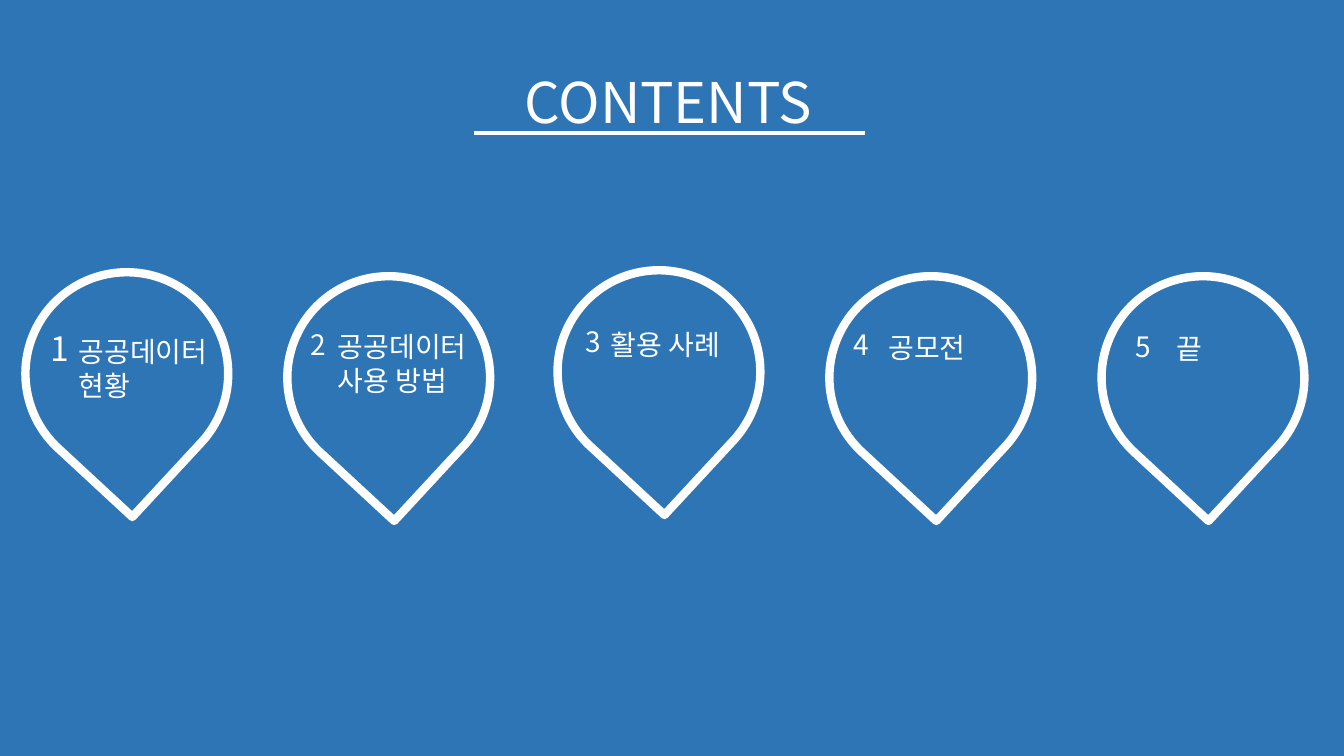
from pptx import Presentation
from pptx.dml.color import RGBColor
from pptx.enum.shapes import MSO_CONNECTOR as CONN, MSO_SHAPE as SHAPE
from pptx.enum.text import MSO_ANCHOR as ANCHOR, MSO_AUTO_SIZE as AUTO, PP_ALIGN as ALIGN
from pptx.oxml.ns import qn
from pptx.util import Cm, Pt
from lxml.etree import SubElement

BLUE = RGBColor(0x2E, 0x75, 0xB6)
WHITE = RGBColor(0xFF, 0xFF, 0xFF)
FONT = "Noto Sans CJK KR"
PIN_SIZE = 5.11
PIN_ANGLE = 132.8

PINS = [
    dict(x=0.64, y=6.86, lines=["공공데이터", "현황"], label=(1.09, 1.45, 3.78), number=(0.38, 1.27), size=24),
    dict(x=7.24, y=6.96, lines=["공공데이터", "사용 방법"], label=(1.02, 1.22, 4.19), number=(0.33, 1.17)),
    dict(x=14.05, y=6.81, lines=["활용 사례"], label=(1.09, 1.32, 3.56), number=(0.46, 1.24)),
    dict(x=20.9, y=6.96, lines=["공모전"], label=(1.24, 1.24, 3.4), number=(0.36, 1.17)),
    dict(x=27.76, y=6.96, lines=["끝"], label=(1.63, 1.27, 2.67), number=(0.61, 1.22)),
]


def write(tf, lines, size, align=ALIGN.LEFT):
    tf.word_wrap = True
    tf.vertical_anchor = ANCHOR.TOP
    for i, line in enumerate(lines):
        p = tf.add_paragraph() if i else tf.paragraphs[0]
        p.alignment = align
        r = p.add_run()
        r.text = line
        r.font.size = Pt(size)
        r.font.color.rgb = WHITE
        r.font.name = FONT
        SubElement(r.font._element, qn("a:ea"), typeface=FONT)


def add_text(shapes, x, y, w, h, lines, size):
    s = shapes.add_textbox(Cm(x), Cm(y), Cm(w), Cm(h))
    write(s.text_frame, lines, size)


def add_heading(slide, x, y, w, h):
    s = slide.shapes.title
    s.left, s.top, s.width, s.height = Cm(x), Cm(y), Cm(w), Cm(h)
    s.text_frame.auto_size = AUTO.NONE
    write(s.text_frame, ["CONTENTS"], 40, ALIGN.CENTER)
    line_y = Cm(y + 1.78)
    rule = slide.shapes.add_connector(CONN.STRAIGHT, Cm(x - 0.25), line_y, Cm(x + w + 0.3), line_y)
    rule.line.color.rgb = WHITE
    rule.line.width = Pt(3)
    SubElement(rule._element.spPr, qn("a:effectLst"))


def add_pin(slide, index, x, y, lines, label, number, size=20):
    shapes = slide.shapes.add_group_shape().shapes
    s = shapes.add_shape(SHAPE.TEAR, Cm(x), Cm(y), Cm(PIN_SIZE), Cm(PIN_SIZE))
    s.rotation = PIN_ANGLE
    s.shadow.inherit = False
    s.fill.solid()
    s.fill.fore_color.rgb = BLUE
    s.line.color.rgb = WHITE
    s.line.width = Pt(6)
    dx, dy, w = label
    add_text(shapes, x + dx, y + dy, w, 0.27 + 0.85 * len(lines), lines, 20)
    dx, dy = number
    add_text(shapes, x + dx, y + dy, 1.19, 1.12, [str(index)], size)


def main():
    prs = Presentation()
    prs.slide_width, prs.slide_height = Cm(33.87), Cm(19.05)
    slide = prs.slides.add_slide(prs.slide_layouts[5])
    fill = slide.background.fill
    fill.solid()
    fill.fore_color.rgb = BLUE
    add_heading(slide, 12.19, 1.57, 9.3, 1.96)
    for i, pin in enumerate(PINS, 1):
        add_pin(slide, i, **pin)
    prs.save("out.pptx")


if __name__ == "__main__":
    main()
